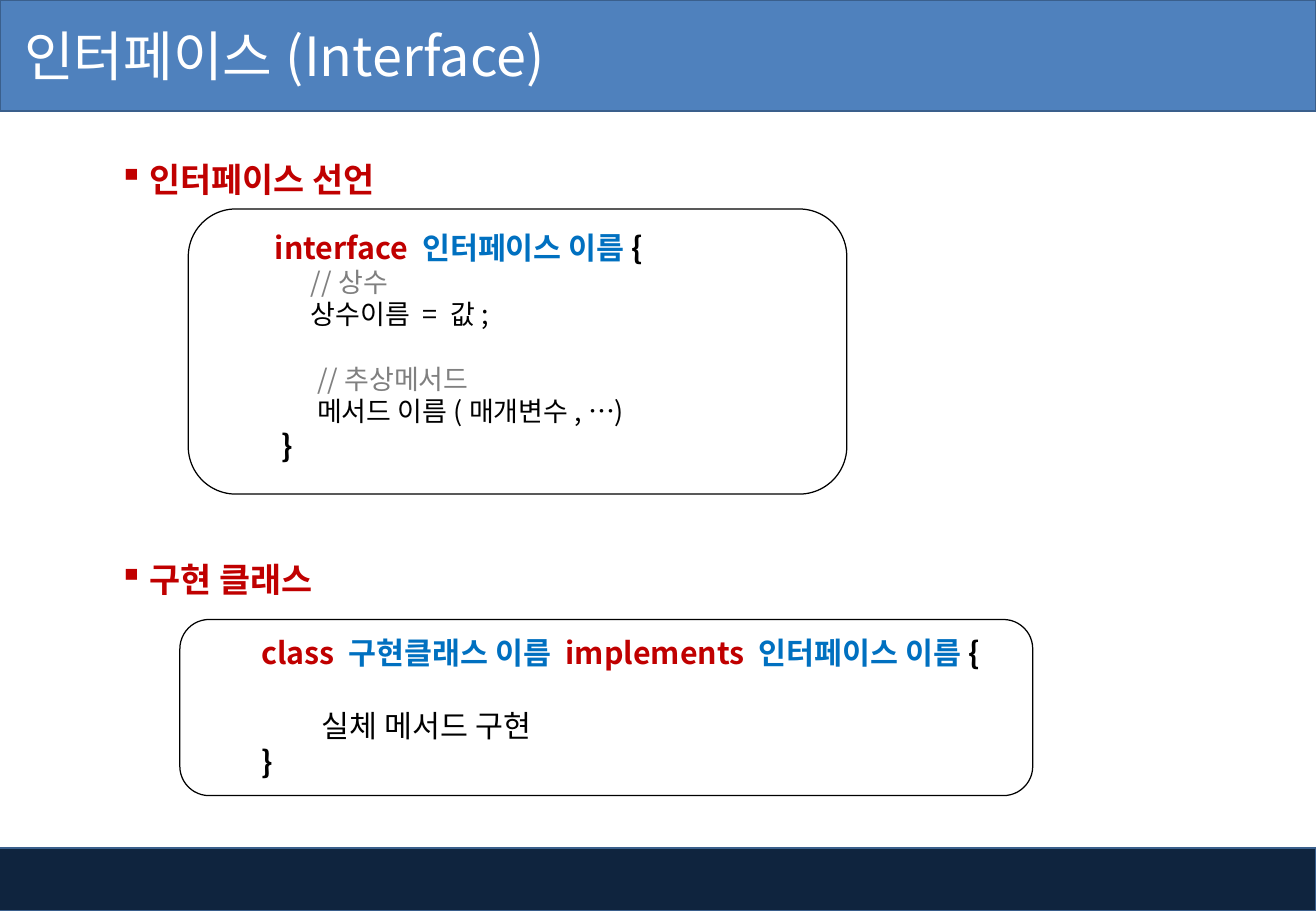
"""Build the slide on declaring and implementing an interface."""
import pptx
import pptx.dml.color
import pptx.enum.shapes
import pptx.enum.text
import pptx.util
from lxml import etree

Pt = pptx.util.Pt
RGBColor = pptx.dml.color.RGBColor
ANCHOR = pptx.enum.text.MSO_ANCHOR
LEFT = pptx.enum.text.PP_ALIGN.LEFT
SHAPE = pptx.enum.shapes.MSO_SHAPE

WHITE = RGBColor(0xFF, 0xFF, 0xFF)
BLACK = RGBColor(0x00, 0x00, 0x00)
RED = RGBColor(0xC0, 0x00, 0x00)
BLUE = RGBColor(0x00, 0x70, 0xC0)
GRAY = RGBColor(0x80, 0x80, 0x80)
HEADER_BLUE = RGBColor(0x4F, 0x81, 0xBD)
FOOTER_NAVY = RGBColor(0x0F, 0x24, 0x3E)
BAR_EDGE = RGBColor(0x3A, 0x5F, 0x8C)
FONT = "Noto Sans CJK KR"

WIDTH, HEIGHT = 780, 540
TITLE = "인터페이스(Interface)"
BARS = [
    ((-3, 502.5, 783, 37.5), FOOTER_NAVY),
    ((0, 0, WIDTH, 66), HEADER_BLUE),
]
HEADINGS = [("인터페이스 선언", 78.5), ("구현 클래스", 315.5)]

# Each code line: size, bold, space before, [(text, colour), ...]
DECLARATION = [
    (18, True, 0, [("interface ", RED), ("인터페이스 이름", BLUE), ("{", BLACK)]),
    (16, False, 0, [("      //상수", GRAY)]),
    (16, False, 0, [("      상수이름 = 값;", BLACK)]),
    (16, False, 19.2, [("       //추상메서드", GRAY)]),
    (16, False, 0, [("       메서드 이름(매개변수, …)", BLACK)]),
    (18, True, 0, [(" }", BLACK)]),
]
IMPLEMENTATION = [
    (18, True, 0, [("class ", RED), ("구현클래스 이름 ", BLUE),
                   ("implements ", RED), ("인터페이스 이름", BLUE), ("{", BLACK)]),
    (18, False, 21.6, [("\t실체 메서드 구현", BLACK)]),
    (18, True, 0, [("}", BLACK)]),
]
CODE_BOXES = [
    ((111.6, 123.9, 390.3, 169), DECLARATION),
    ((106.6, 367.2, 505.5, 104.4), IMPLEMENTATION),
]


def set_font(font, size, bold, color=None):
    font.name, font.size, font.bold = FONT, Pt(size), bold
    if color is not None:
        font.color.rgb = color
    for tag in ("ea", "cs"):
        face = etree.SubElement(font._element, pptx.oxml.ns.qn(f"a:{tag}"))
        face.set("typeface", FONT)


def add_panel(slide, kind, box, fill, edge, weight):
    panel = slide.shapes.add_shape(kind, *map(Pt, box))
    panel.shadow.inherit = False
    if fill is None:
        panel.fill.background()
    else:
        panel.fill.solid()
        panel.fill.fore_color.rgb = fill
    panel.line.color.rgb = edge
    panel.line.width = Pt(weight)
    return panel


def add_heading(slide, text, top):
    heading = slide.shapes.add_textbox(Pt(63.4), Pt(top), Pt(258.5), Pt(39.6))
    heading.text_frame.word_wrap = True
    paragraph = heading.text_frame.paragraphs[0]
    paragraph.text = text
    paragraph.line_spacing = 1.5
    properties = paragraph._p.get_or_add_pPr()
    properties.set("marL", str(Pt(18)))
    properties.set("indent", str(Pt(-18)))
    bullet = etree.SubElement(properties, pptx.oxml.ns.qn("a:buChar"))
    bullet.set("char", "▪")
    set_font(paragraph.font, 20, True, RED)


def add_code(slide, box, lines):
    panel = add_panel(slide, SHAPE.ROUNDED_RECTANGLE, box, None, BLACK, 0.75)
    frame = panel.text_frame
    frame.word_wrap = True
    frame.vertical_anchor = ANCHOR.TOP
    for number, (size, bold, gap, parts) in enumerate(lines):
        paragraph = frame.add_paragraph() if number else frame.paragraphs[0]
        paragraph.alignment = LEFT
        paragraph.space_before = Pt(gap)
        paragraph._p.get_or_add_pPr().set("marL", str(Pt(36)))
        set_font(paragraph.font, size, bold)
        for text, color in parts:
            run = paragraph.add_run()
            run.text = text
            run.font.color.rgb = color


def main():
    deck = pptx.Presentation()
    deck.slide_width, deck.slide_height = Pt(WIDTH), Pt(HEIGHT)
    slide = deck.slides.add_slide(deck.slide_layouts[5])

    title = slide.shapes.title
    title.left, title.top, title.width, title.height = map(Pt, (0, -1.4, 488, 67.7))
    title.text_frame.text = TITLE
    title.text_frame.margin_left = Pt(14.4)
    title.text_frame.vertical_anchor = ANCHOR.MIDDLE
    title.text_frame.paragraphs[0].alignment = LEFT
    set_font(title.text_frame.paragraphs[0].font, 32, False, WHITE)

    for box, fill in BARS:
        bar = add_panel(slide, SHAPE.RECTANGLE, box, fill, BAR_EDGE, 1)
        title.element.addprevious(bar.element)
    for text, top in HEADINGS:
        add_heading(slide, text, top)
    for box, lines in CODE_BOXES:
        add_code(slide, box, lines)
    deck.save("out.pptx")


if __name__ == "__main__":
    main()
